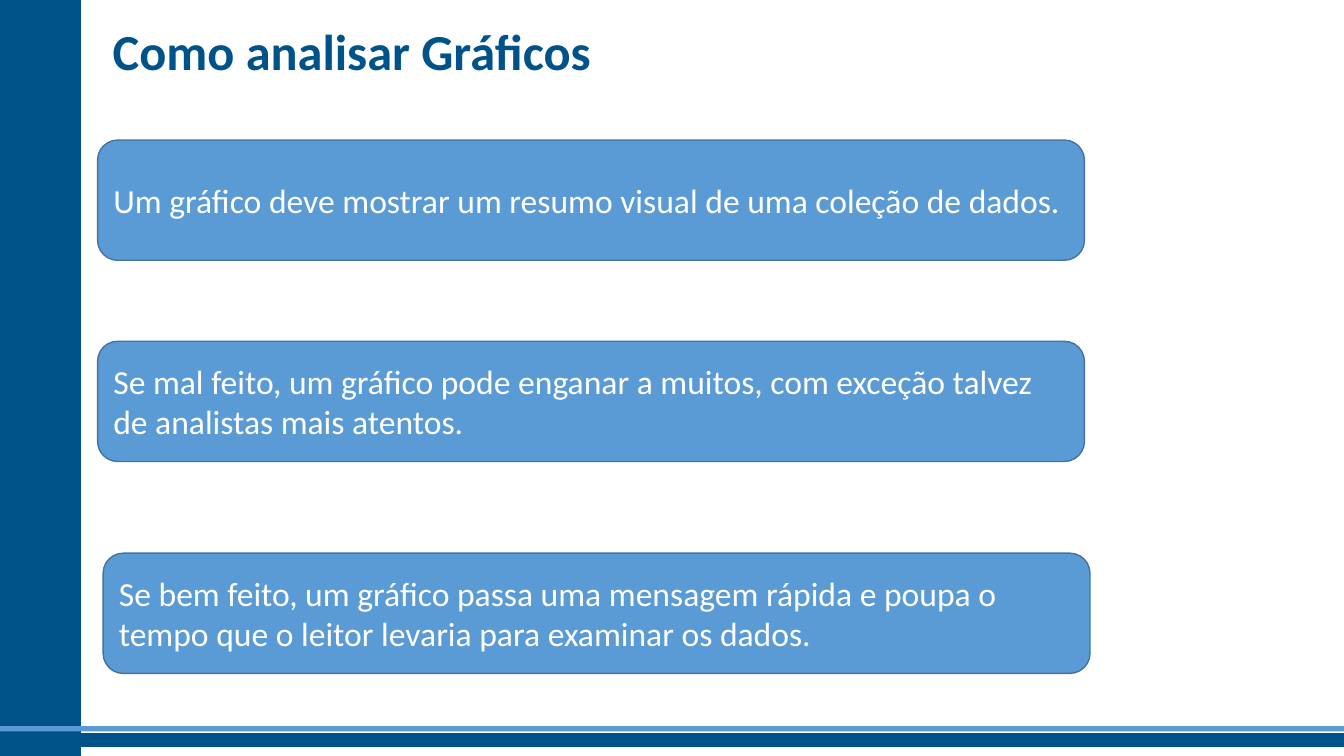
import pptx
import pptx.util
import pptx.dml.color
import pptx.enum.shapes
import pptx.enum.text
from pptx.util import Cm

NAVY = pptx.dml.color.RGBColor(0x00, 0x53, 0x88)
BLUE = pptx.dml.color.RGBColor(0x5B, 0x9B, 0xD5)
EDGE = pptx.dml.color.RGBColor(0x43, 0x73, 0x9E)
WHITE = pptx.dml.color.RGBColor(0xFF, 0xFF, 0xFF)

PAGE_WIDTH, PAGE_HEIGHT = Cm(33.87), Cm(19.05)
CARD_WIDTH, CARD_HEIGHT = Cm(24.87), Cm(3.03)
CARDS = [
    (Cm(2.46), Cm(3.53), "Um gráfico deve mostrar um resumo visual de uma coleção de dados."),
    (Cm(2.46), Cm(8.6), "Se mal feito, um gráfico pode enganar a muitos, com exceção talvez "
                        "de analistas mais atentos."),
    (Cm(2.6), Cm(13.94), "Se bem feito, um gráfico passa uma mensagem rápida e poupa o tempo "
                         "que o leitor levaria para examinar os dados."),
]


def add_block(page, kind, left, top, width, height, fill, edge=None):
    """Add a flat filled shape, outlined only when an edge colour is given."""
    block = page.shapes.add_shape(kind, left, top, width, height)
    block.shadow.inherit = False
    block.fill.solid()
    block.fill.fore_color.rgb = fill
    if edge is None:
        block.line.fill.background()
    else:
        block.line.color.rgb = edge
        block.line.width = pptx.util.Pt(1)
    return block


def write_text(box, text, size, color, bold=False):
    frame = box.text_frame
    frame.word_wrap = True
    frame.vertical_anchor = pptx.enum.text.MSO_ANCHOR.MIDDLE
    para = frame.paragraphs[0]
    para.text = text
    para.alignment = pptx.enum.text.PP_ALIGN.LEFT
    para.font.name = "Calibri"
    para.font.size = pptx.util.Pt(size)
    para.font.bold = bold
    para.font.color.rgb = color
    return para


def add_frame(page, width, height):
    """Draw the left band and the two stripes along the bottom."""
    rectangle = pptx.enum.shapes.MSO_SHAPE.RECTANGLE
    add_block(page, rectangle, 0, 0, Cm(2.03), height, NAVY, NAVY)
    add_block(page, rectangle, 0, height - Cm(0.55), width, Cm(0.3), NAVY, NAVY)
    add_block(page, rectangle, 0, height - Cm(0.75), width, Cm(0.13), BLUE)


def add_title(page, left, top, width, height):
    box = page.shapes.add_textbox(left, top, width, height)
    para = write_text(box, "Como analisar Gráficos", 36, NAVY, bold=True)
    para.space_before = pptx.util.Pt(10)


def add_card(page, left, top, width, height, text):
    rounded = pptx.enum.shapes.MSO_SHAPE.ROUNDED_RECTANGLE
    card = add_block(page, rounded, left, top, width, height, BLUE, EDGE)
    write_text(card, text, 24, WHITE)


def main():
    deck = pptx.Presentation()
    deck.slide_width, deck.slide_height = PAGE_WIDTH, PAGE_HEIGHT
    page = deck.slides.add_slide(deck.slide_layouts[6])
    add_frame(page, PAGE_WIDTH, PAGE_HEIGHT)
    add_title(page, Cm(2.59), Cm(0.33), Cm(13.69), Cm(1.88))
    for left, top, text in CARDS:
        add_card(page, left, top, CARD_WIDTH, CARD_HEIGHT, text)
    deck.save("out.pptx")


if __name__ == "__main__":
    main()
